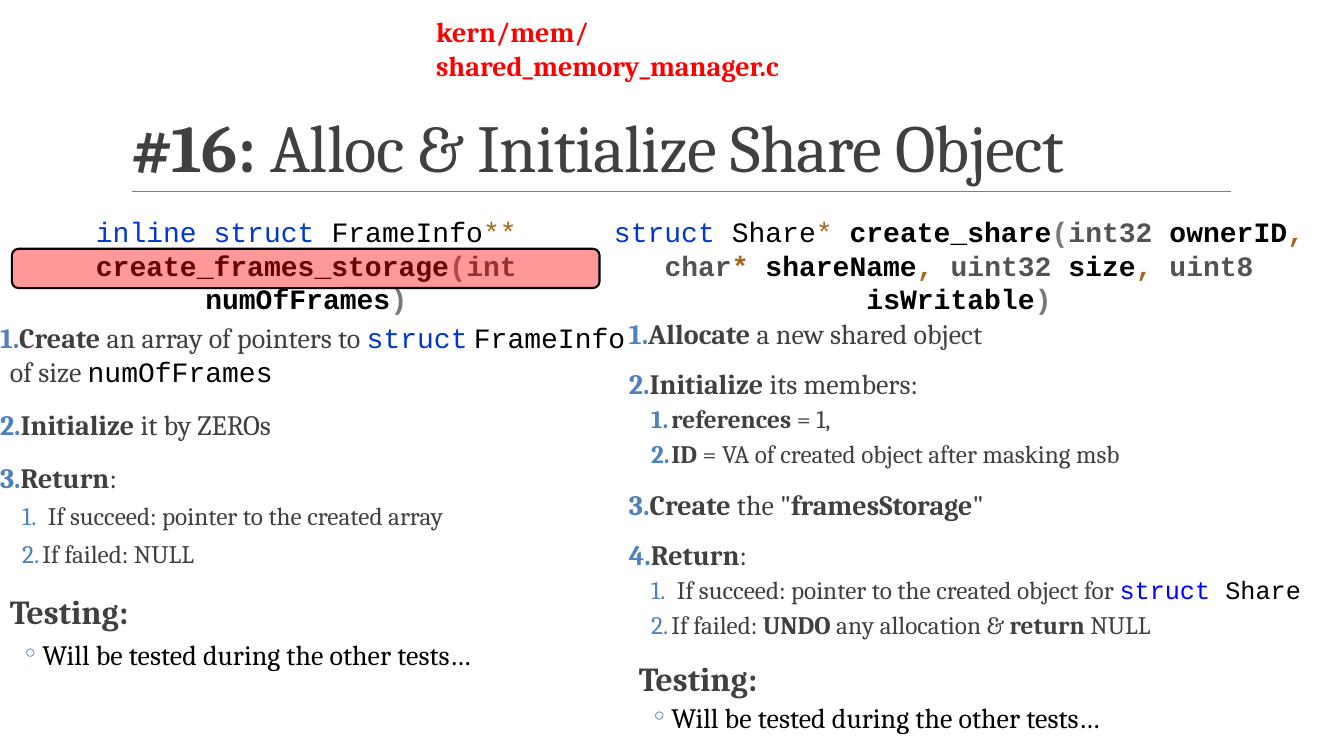
from collections import namedtuple
from dataclasses import dataclass

from lxml.etree import SubElement
from pptx import Presentation
from pptx.dml.color import RGBColor
from pptx.enum.shapes import MSO_CONNECTOR, MSO_SHAPE
from pptx.enum.text import MSO_ANCHOR, MSO_AUTO_SIZE, PP_ALIGN
from pptx.oxml.ns import qn
from pptx.util import Cm, Pt


@dataclass(frozen=True)
class Theme:
    serif: str = "Cambria"
    mono: str = "Courier New"
    text: str = "404040"
    black: str = "000000"
    white: str = "FFFFFF"
    red: str = "FF0000"
    accent: str = "4F81BD"
    rule: str = "808080"
    keyword: str = "0037CD"
    link: str = "0000FF"
    operator: str = "A36622"
    bracket: str = "787878"
    type_name: str = "535353"
    title_size: int = 48
    heading_size: int = 24
    body_size: int = 20
    detail_size: int = 18


THEME = Theme()
Box = namedtuple("Box", "left top width height")
Run = namedtuple("Run", "text color bold font size", defaults=(THEME.text, False, THEME.serif, None))
Item = namedtuple("Item", "kind runs")


def bold(text):
    return Run(text, bold=True)


def code(text, color=THEME.black, strong=False):
    return Run(text, color, strong, THEME.mono)


def signature(*parts):
    """Bold code built from (text, colour) pairs."""
    return [code(text, color, True) for text, color in parts]


def step(*runs):
    return Item("step", runs)


def detail(*runs):
    return Item("detail", runs)


TESTING = [
    Item("heading", [bold("Testing:")]),
    Item("note", [Run("Will be tested during the other tests…", THEME.black)]),
]

# Left column: frames storage
FRAMES_HEADER = [
    code("inline struct ", THEME.keyword), code("FrameInfo"), code("** ", THEME.operator),
    *signature(("create_frames_storage", THEME.black), ("(", THEME.bracket), ("int ", THEME.type_name),
               ("numOfFrames", THEME.black), (")", THEME.bracket)),
]
FRAMES_ITEMS = [
    step(bold("Create"), Run(" an array of pointers to "), code("struct", THEME.keyword), Run(" "),
         code("FrameInfo"), Run(" of size "), code("numOfFrames")),
    step(bold("Initialize"), Run(" it by ZEROs")),
    step(bold("Return"), Run(":")),
    detail(Run(" If succeed: pointer to the created array")),
    detail(Run("If failed: NULL")),
    *TESTING,
]

# Right column: share object
SHARE_HEADER = [
    code("struct", THEME.keyword), code(" Share"), code("* ", THEME.operator),
    *signature(("create_share", THEME.black), ("(", THEME.bracket), ("int32 ", THEME.type_name),
               ("ownerID", THEME.black), (", ", THEME.operator), ("char", THEME.type_name),
               ("* ", THEME.operator), ("shareName", THEME.black), (", ", THEME.operator),
               ("uint32", THEME.type_name), (" size", THEME.black), (", ", THEME.operator),
               ("uint8 ", THEME.type_name), ("isWritable", THEME.black), (")", THEME.bracket)),
]
SHARE_ITEMS = [
    step(bold("Allocate"), Run(" a new shared object")),
    step(bold("Initialize "), Run("its members:")),
    detail(bold("references"), Run(" = 1,")),
    detail(bold("ID "), Run("= VA of created object after masking msb")),
    step(bold("Create "), Run("the \""), bold("framesStorage"), Run("\"")),
    step(bold("Return"), Run(":")),
    detail(Run(" If succeed: pointer to the created object for "), code("struct", THEME.link), code(" Share")),
    detail(Run("If failed: "), bold("UNDO "), Run("any allocation & "), bold("return "), Run("NULL")),
    *TESTING,
]


def color_of(value):
    return RGBColor.from_string(value)


def place(shape, box):
    shape.left, shape.top, shape.width, shape.height = (Cm(value) for value in box)


def add_runs(paragraph, runs, size):
    for item in runs:
        run = paragraph.add_run()
        run.text = item.text
        run.font.name = item.font
        run.font.size = Pt(item.size or size)
        run.font.bold = item.bold
        run.font.color.rgb = color_of(item.color)


def add_text(slide, box, runs, alignment):
    shape = slide.shapes.add_textbox(*(Cm(value) for value in box))
    shape.text_frame.word_wrap = True
    paragraph = shape.text_frame.paragraphs[0]
    paragraph.alignment = alignment
    add_runs(paragraph, runs, THEME.body_size)


def set_bullet(paragraph, kind):
    """Set the indent and the number or mark of a list paragraph."""
    properties = paragraph._p.get_or_add_pPr()
    margin, indent = (1.07, -0.51) if paragraph.level else (0.25, -0.25)
    if kind == "heading":
        indent = 0
    properties.set("marL", str(Cm(margin)))
    properties.set("indent", str(Cm(indent)))
    if kind == "heading":
        SubElement(properties, qn("a:buNone"))
        return
    bullet_color = SubElement(properties, qn("a:buClr"))
    SubElement(bullet_color, qn("a:srgbClr"), val=THEME.accent)
    SubElement(properties, qn("a:buFont"), typeface=THEME.serif)
    if kind == "note":
        SubElement(properties, qn("a:buChar"), char="◦")
    else:
        SubElement(properties, qn("a:buAutoNum"), type="arabicPeriod")


def fill_list(frame, items, line_spacing):
    sizes = {"heading": THEME.heading_size, "detail": THEME.detail_size}
    for index, item in enumerate(items):
        paragraph = frame.add_paragraph() if index else frame.paragraphs[0]
        nested = item.kind in ("detail", "note")
        paragraph.level = int(nested)
        paragraph.line_spacing = line_spacing
        paragraph.space_before = Pt((2 if nested else 12) if index else 0)
        paragraph.space_after = Pt(4 if nested else 2)
        set_bullet(paragraph, item.kind)
        add_runs(paragraph, item.runs, sizes.get(item.kind, THEME.body_size))


def draw_column(slide, body, box, header_box, header, items, line_spacing):
    # Numbered list
    place(body, box)
    body.fill.solid()
    body.fill.fore_color.rgb = color_of(THEME.white)
    frame = body.text_frame
    frame.auto_size = MSO_AUTO_SIZE.NONE
    frame.margin_left = frame.margin_right = 0
    frame.margin_top = frame.margin_bottom = Cm(0.13)
    fill_list(frame, items, line_spacing)
    # Function signature above the list
    shifted = Box(box.left + header_box.left, box.top + header_box.top, header_box.width, header_box.height)
    add_text(slide, shifted, header, PP_ALIGN.CENTER)


def draw_title(slide, box):
    title = slide.shapes.title
    place(title, box)
    frame = title.text_frame
    frame.auto_size = MSO_AUTO_SIZE.NONE
    frame.vertical_anchor = MSO_ANCHOR.BOTTOM
    paragraph = frame.paragraphs[0]
    paragraph.alignment = PP_ALIGN.LEFT
    paragraph.line_spacing = 0.85
    add_runs(paragraph, [bold("#16: "), Run("Alloc & Initialize Share Object")], THEME.title_size)
    for run in paragraph.runs:
        run.font._element.set("spc", "-50")
    # Rule under the title
    bottom = Cm(box.top + box.height)
    rule = slide.shapes.add_connector(MSO_CONNECTOR.STRAIGHT, Cm(box.left + 0.28), bottom,
                                      Cm(box.left + box.width + 0.02), bottom)
    rule.line.color.rgb = color_of(THEME.rule)
    rule.line.width = Pt(0.5)
    SubElement(rule._element.spPr, qn("a:effectLst"))


def draw_highlight(slide, box):
    marker = slide.shapes.add_shape(MSO_SHAPE.ROUNDED_RECTANGLE, *(Cm(value) for value in box))
    marker.shadow.inherit = False
    marker.fill.solid()
    marker.fill.fore_color.rgb = color_of(THEME.red)
    SubElement(marker._element.spPr.find(".//" + qn("a:srgbClr")), qn("a:alpha"), val="40000")
    marker.line.color.rgb = color_of(THEME.black)
    marker.line.width = Pt(1.5)


def main():
    presentation = Presentation()
    presentation.slide_width, presentation.slide_height = Cm(33.87), Cm(19.05)
    slide = presentation.slides.add_slide(presentation.slide_layouts[3])
    left_body, right_body = slide.placeholders[1], slide.placeholders[2]

    draw_title(slide, Box(3.05, 0.79, 27.94, 4.04))
    add_text(slide, Box(10.74, 0.25, 12.4, 1.12),
             [Run("kern/mem/shared_memory_manager.c", THEME.red, True)], PP_ALIGN.LEFT)
    draw_column(slide, right_body, Box(15.85, 7.95, 18.02, 11.1), Box(-1.37, -2.67, 19.38, 1.96),
                SHARE_HEADER, SHARE_ITEMS, 0.9)
    draw_column(slide, left_body, Box(0, 7.95, 15.85, 11.1), Box(0, -2.67, 15.44, 1.96),
                FRAMES_HEADER, FRAMES_ITEMS, 1.0)
    draw_highlight(slide, Box(0.3, 6.27, 14.81, 0.99))
    presentation.save("out.pptx")


if __name__ == "__main__":
    main()
